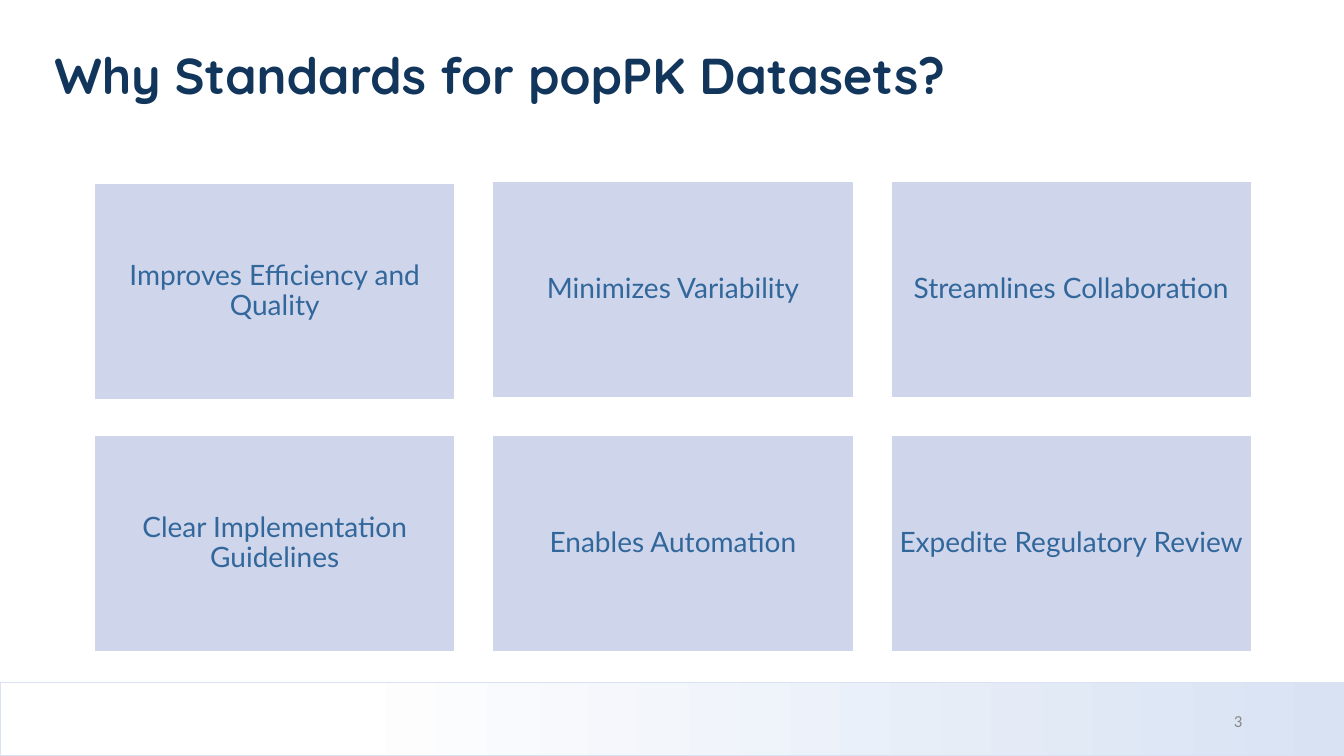
from pptx import Presentation
from pptx.dml.color import RGBColor as RGB
from pptx.enum.shapes import MSO_SHAPE as SHAPE
from pptx.enum.text import MSO_ANCHOR as ANCHOR, PP_ALIGN as ALIGN
from pptx.util import Pt

SCALE = 9144  # EMU per px, 100 px to the inch
COLORS = {
    "navy": "12355B",
    "blue": "31679B",
    "card": "CFD5EA",
    "band": "D8E2F3",
    "gray": "888888",
    "white": "FFFFFF",
    "black": "000000",
}


class Deck:
    def __init__(self, width, height):
        self.prs = Presentation()
        self.prs.slide_width = width * SCALE
        self.prs.slide_height = height * SCALE
        self.slide = self.prs.slides.add_slide(self.prs.slide_layouts[6])

    def color(self, name):
        return RGB.from_string(COLORS[name])

    def style(self, run, size, font, color, bold=False):
        run.font.size = Pt(size)
        run.font.name = font
        run.font.bold = bold
        run.font.color.rgb = self.color(color)

    def frame(self, shape, anchor, side=10, edge=5):
        frame = shape.text_frame
        frame.word_wrap = True
        frame.vertical_anchor = anchor
        frame.margin_left = frame.margin_right = side * SCALE
        frame.margin_top = frame.margin_bottom = edge * SCALE
        return frame

    def rect(self, box, line, weight):
        shape = self.slide.shapes.add_shape(SHAPE.RECTANGLE, *[v * SCALE for v in box])
        shape.shadow.inherit = False
        shape.line.color.rgb = self.color(line)
        shape.line.width = Pt(weight)
        return shape

    def band(self, box):
        fill = self.rect(box, "band", 1).fill
        fill.gradient()
        fill.gradient_angle = 0
        for stop, pos, name in zip(fill.gradient_stops, (0.25, 1), ("white", "band")):
            stop.position = pos
            stop.color.rgb = self.color(name)

    def card(self, box, text):
        shape = self.rect(box, "white", 2)
        shape.fill.solid()
        shape.fill.fore_color.rgb = self.color("card")
        frame = self.frame(shape, ANCHOR.MIDDLE, 8, 8)
        frame.text = text
        para = frame.paragraphs[0]
        para.alignment = ALIGN.CENTER
        para.line_spacing = 0.9
        self.style(para.runs[0], 20, "Lato", "blue")

    def text(self, box, parts, anchor, align, spacing=1.0):
        shape = self.slide.shapes.add_textbox(*[v * SCALE for v in box])
        para = self.frame(shape, anchor).paragraphs[0]
        para.alignment = align
        para.line_spacing = spacing
        for words, *look in parts:
            run = para.add_run()
            run.text = words
            self.style(run, *look)


def main():
    deck = Deck(1333, 750)

    # Footer band
    deck.band((0, 677, 1333, 73))

    # Title
    head = (36, "Quicksand", "navy", True)
    title = [
        ("Why", *head),
        (" ", 44, "Calibri", "black", True),
        ("Standards for popPK Datasets?", *head),
    ]
    deck.text((44, 36, 1150, 94), title, ANCHOR.TOP, ALIGN.LEFT, 0.9)

    # Page number
    deck.text((1084, 695, 158, 40), [("3", 12, "Calibri", "gray")],
              ANCHOR.MIDDLE, ALIGN.RIGHT)

    # Cards, three to a row; the first sits slightly lower
    cards = [
        "Improves Efficiency and Quality",
        "Minimizes Variability",
        "Streamlines Collaboration",
        "Clear Implementation Guidelines",
        "Enables Automation",
        "Expedite Regulatory Review",
    ]
    for i, label in enumerate(cards):
        row, col = divmod(i, 3)
        drop = 2 if i == 0 else 0
        deck.card((93 + 395 * col, 179 + 252 * row + drop, 359, 216), label)

    deck.prs.save("out.pptx")


if __name__ == "__main__":
    main()
